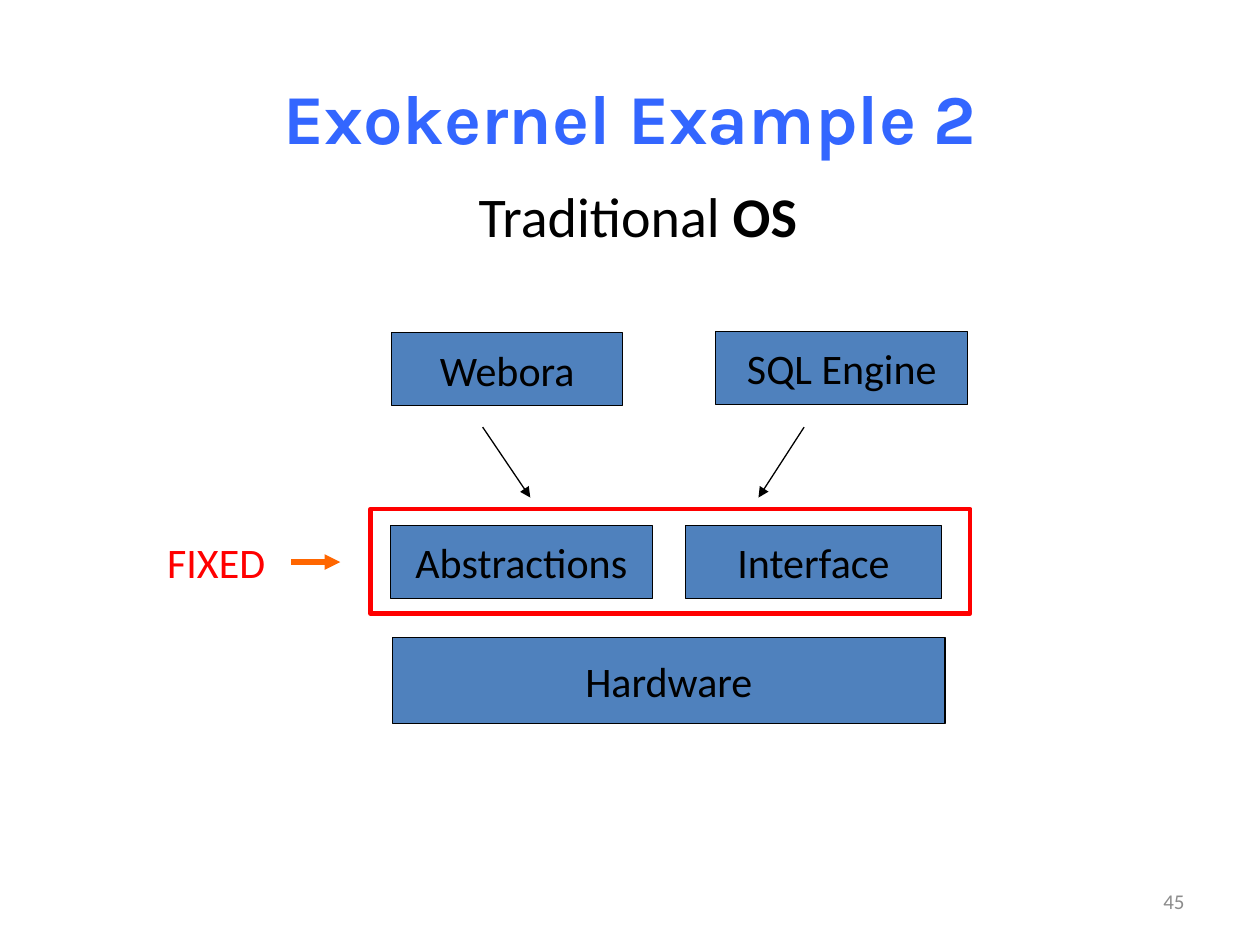
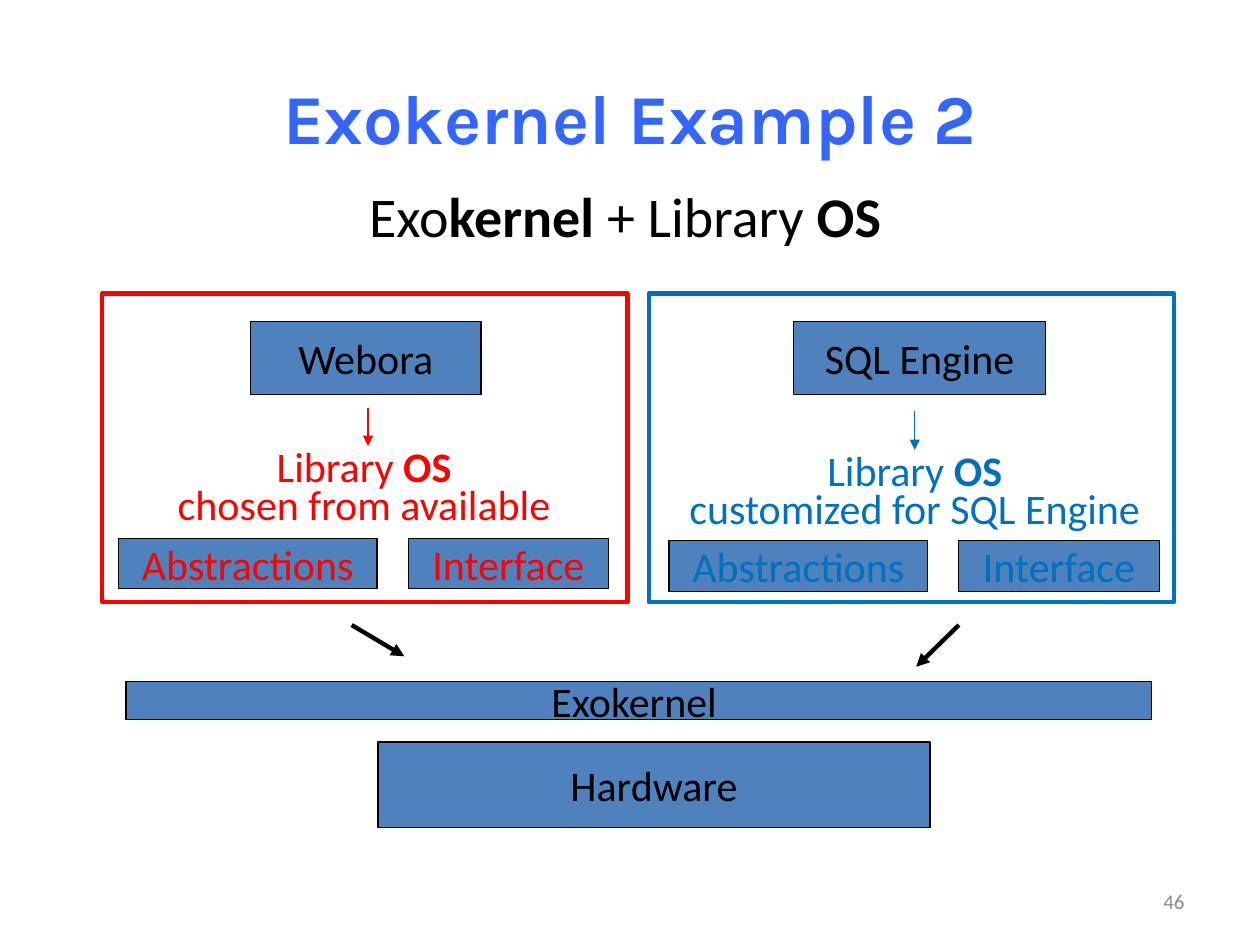
from lxml import etree
from pptx import Presentation
from pptx import util as u
from pptx.dml.color import RGBColor
from pptx.enum import shapes, text
from pptx.oxml.ns import qn

COLOURS = {
    "title": "3366FF", "number": "8C8C8C", "ink": "000000", "box": "4F81BD",
    "red": "FF0000", "blue": "0070C0", "orange": "FF6600",
}
TITLE = "Exokernel Example 2"
WEB, DATABASE = "Webora", "SQL Engine"

# All places are in centimetres: left, top, width, height.
# Text between ** marks is bold.
HARDWARE_SIZE = (11.13, 1.73)
WEB_SIZE, DATABASE_SIZE = (4.65, 1.47), (5.08, 1.47)

TRADITIONAL = {
    "number": "45",
    "subtitle": ("Traditional **OS**", 9.4, 7.39),
    "boxes": [
        ("Hardware", (7.92, 12.85, *HARDWARE_SIZE)),
        (WEB, (7.9, 6.71, *WEB_SIZE)),
        (DATABASE, (14.43, 6.68, *DATABASE_SIZE)),
        ("Abstractions", (7.87, 10.59, 5.28, 1.47)),
        ("Interface", (13.82, 10.59, 5.16, 1.47)),
    ],
    "arrows": [
        ((9.73, 8.61, 10.69, 10.03), "ink", 0.75),
        ((16.21, 8.61, 15.29, 10.03), "ink", 0.75),
        ((5.87, 11.33, 6.86, 11.33), "orange", 3),
    ],
}
FIXED_FRAME = (7.47, 10.26, 12.09, 2.11)
FIXED_LABEL = (3.12, 10.69, 2.79, 1.27)

EXOKERNEL = {
    "number": "46",
    "subtitle": ("Exo**kernel** + Library **OS**", 7.19, 12.22),
    "boxes": [
        ("Hardware", (7.62, 14.96, *HARDWARE_SIZE)),
        (WEB, (5.05, 6.48, *WEB_SIZE)),
        (DATABASE, (16, 6.48, *DATABASE_SIZE)),
        ("Exokernel ", (2.54, 13.74, 20.68, 0.76)),
    ],
    "arrows": [
        ((7.09, 12.6, 8.15, 13.23), "ink", 2.5),
        ((19.33, 12.6, 18.47, 13.44), "ink", 2.5),
    ],
}
LIBRARIES = [
    {"colour": "red", "purpose": "chosen from available", "frame_left": 2.06,
     "arrow": (7.42, 8.23, 7.42, 8.99), "text": (2.41, 9.86),
     "parts": (2.39, 10.85)},
    {"colour": "blue", "purpose": f"customized for {DATABASE}", "frame_left": 13.08,
     "arrow": (18.44, 8.28, 18.44, 9.07), "text": (13.18, 10.52),
     "parts": (13.49, 10.9)},
]
PARTS = [("Abstractions", 0, 5.21), ("Interface", 5.84, 4.04)]


def colour(name):
    return RGBColor.from_string(COLOURS[name])


def cm(values):
    return [u.Cm(value) for value in values]


def write(shape, content, size=24, font="Calibri", ink="ink", align="CENTER",
          anchor="MIDDLE", wrap=False, bold=False, spacing=None):
    """Fill a shape with lines of text, bold between ** marks."""
    frame = shape.text_frame
    frame.word_wrap = wrap
    frame.vertical_anchor = text.MSO_ANCHOR[anchor]
    for index, line in enumerate(content.split("\n")):
        paragraph = frame.add_paragraph() if index else frame.paragraphs[0]
        paragraph.alignment = text.PP_ALIGN[align]
        if spacing:
            paragraph.line_spacing = u.Pt(spacing)
        for position, piece in enumerate(line.split("**")):
            if piece:
                run = paragraph.add_run()
                run.text = piece
                run.font.name = font
                run.font.size = u.Pt(size)
                run.font.bold = bold or position % 2 == 1
                run.font.color.rgb = colour(ink)


def add_text(slide, content, place, **style):
    write(slide.shapes.add_textbox(*cm(place)), content, **style)


def add_rectangle(slide, place, line, width):
    shape = slide.shapes.add_shape(shapes.MSO_SHAPE.RECTANGLE, *cm(place))
    shape.shadow.inherit = False
    shape.fill.background()
    shape.line.color.rgb = colour(line)
    shape.line.width = u.Pt(width)
    return shape


def add_box(slide, label, place, ink="ink"):
    box = add_rectangle(slide, place, "ink", 0.75)
    box.fill.solid()
    box.fill.fore_color.rgb = colour("box")
    write(box, label, ink=ink)


def add_arrow(slide, ends, line, width):
    arrow = slide.shapes.add_connector(shapes.MSO_CONNECTOR.STRAIGHT, *cm(ends))
    arrow.line.color.rgb = colour(line)
    arrow.line.width = u.Pt(width)
    properties = arrow.line._get_or_add_ln()
    etree.SubElement(properties, qn("a:tailEnd"), type="triangle")
    etree.SubElement(properties.getparent(), qn("a:effectLst"))


def add_diagram_slide(presentation, diagram):
    """Add a slide with title, number, subtitle, boxes and arrows."""
    slide = presentation.slides.add_slide(presentation.slide_layouts[6])
    add_text(slide, TITLE, (1.27, 0.76, 22.86, 3.18), size=40, font="Karla",
             ink="title", bold=True, wrap=True)
    add_text(slide, diagram["number"], (18.21, 17.65, 5.92, 1.02), size=12,
             ink="number", align="RIGHT", wrap=True)
    subtitle, left, width = diagram["subtitle"]
    add_text(slide, subtitle, (left, 3.53, width, 1.63), size=32, align="LEFT",
             anchor="TOP")
    for label, place in diagram["boxes"]:
        add_box(slide, label, place)
    for arrow in diagram["arrows"]:
        add_arrow(slide, *arrow)
    return slide


def add_library(slide, library):
    ink = library["colour"]
    add_rectangle(slide, (library["frame_left"], 5.92, 10.59, 6.22), ink, 2.5)
    add_arrow(slide, library["arrow"], ink, 0.75)
    text_left, text_width = library["text"]
    text_top = library["arrow"][3]
    add_text(slide, f"Library **OS**\n{library['purpose']}",
             (text_left, text_top, text_width, 1.83), ink=ink, anchor="TOP",
             wrap=True, spacing=22)
    left, top = library["parts"]
    for label, offset, width in PARTS:
        add_box(slide, label, (left + offset, top, width, 1.02), ink)


def main():
    presentation = Presentation()
    presentation.slide_width, presentation.slide_height = cm((25.4, 19.05))

    slide = add_diagram_slide(presentation, TRADITIONAL)
    add_rectangle(slide, FIXED_FRAME, "red", 2.5)
    add_text(slide, "FIXED", FIXED_LABEL, ink="red", align="LEFT", anchor="TOP")

    slide = add_diagram_slide(presentation, EXOKERNEL)
    for library in LIBRARIES:
        add_library(slide, library)

    presentation.save("out.pptx")


if __name__ == "__main__":
    main()
